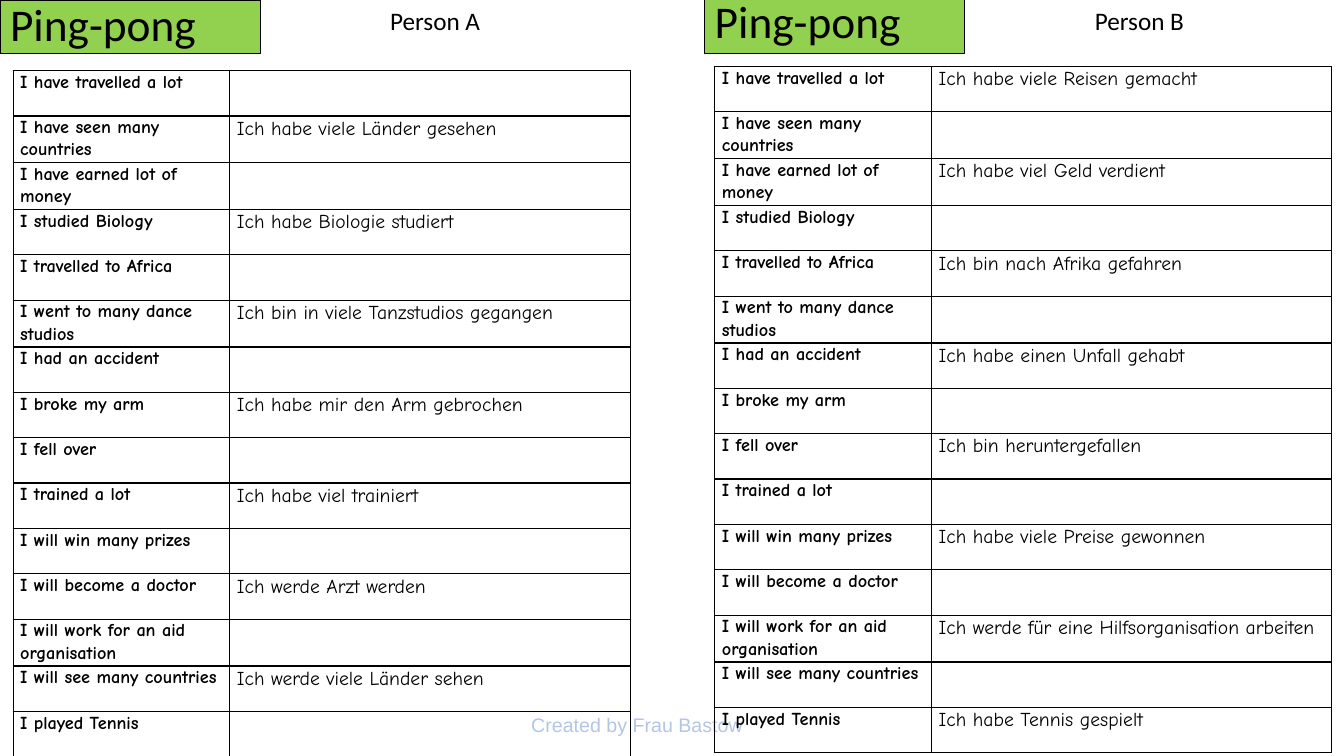
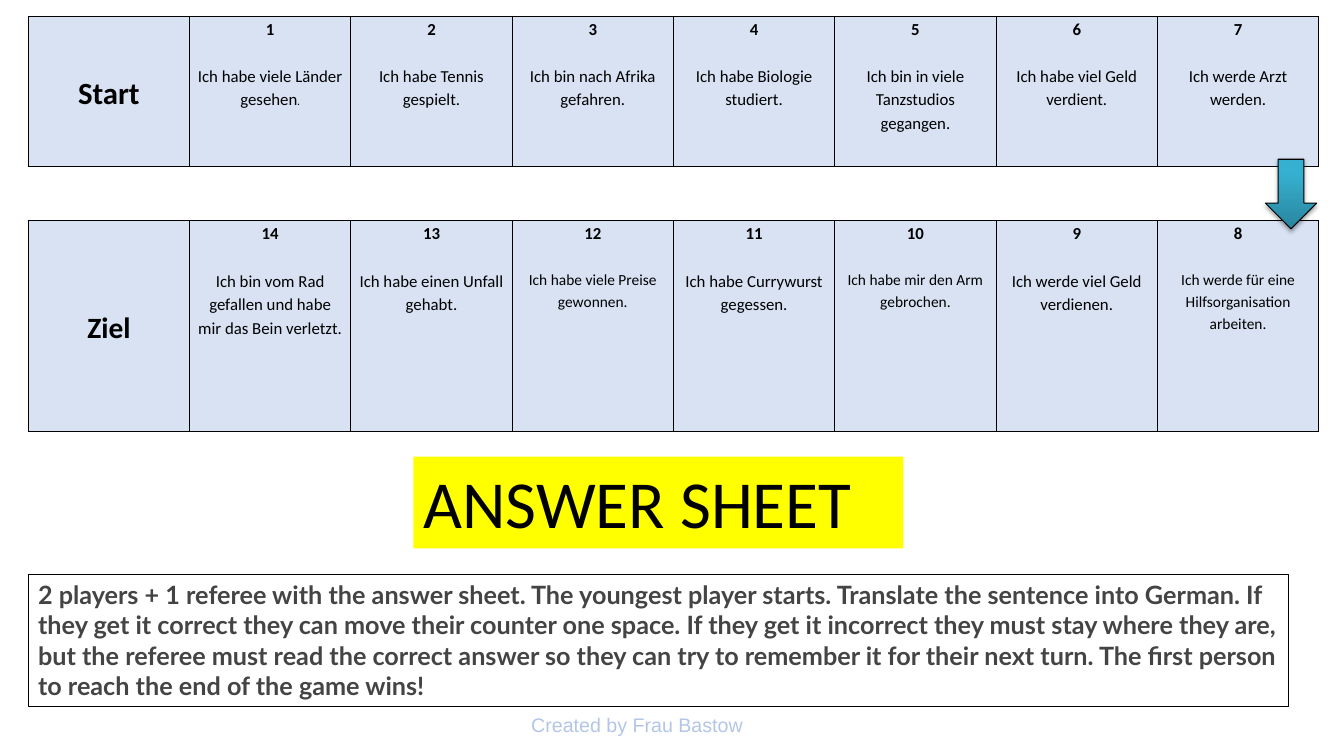
from lxml import etree
from pptx import Presentation
from pptx.dml.color import RGBColor as RGB
from pptx.enum.shapes import MSO_SHAPE as SHAPE
from pptx.enum.text import MSO_ANCHOR as ANCHOR, MSO_AUTO_SIZE as AUTO, PP_ALIGN as ALIGN
from pptx.oxml import parse_xml
from pptx.oxml.ns import nsdecls, qn
from pptx.util import Inches, Pt

COLORS = {
    "black": "000000", "grey": "444444", "footer": "B3C6E7", "green": "92D050",
    "yellow": "FFFF00", "blue": "D8E2F3", "white": "FFFFFF",
    "teal_dark": "29859E", "teal": "36B0D0",
}
HAND = "Comic Neue"


def write(sp, text, size=12, font="Calibri", color="black", bold=False, align=ALIGN.LEFT,
          spacing=None, before=None, fill=None, line=None, anchor=None, join=False):
    tf = sp.text_frame
    tf.word_wrap = True
    p = tf.paragraphs[-1]
    if p.runs and not join:
        p = tf.add_paragraph()
    if not join:
        p.alignment = align
        if spacing:
            p.line_spacing = spacing
        if before:
            p.space_before = Pt(before)
    r = p.add_run()
    r.text = text
    r.font.size, r.font.name, r.font.bold = Pt(size), font, bold
    r.font.color.rgb = RGB.from_string(COLORS[color])
    if anchor is not None:
        sp.vertical_anchor = tf.vertical_anchor = anchor
    if fill:
        sp.fill.solid()
        sp.fill.fore_color.rgb = RGB.from_string(COLORS[fill])
    if line:
        sp.line.color.rgb = RGB.from_string(COLORS[line])
        sp.line.width = Pt(0.75)


def add_grid(s, left, top, widths, heights, fills, open_rows=()):
    shape = s.shapes.add_table(len(heights), len(widths), Inches(left), Inches(top),
                               Inches(sum(widths)), Inches(sum(heights)))
    table = shape.table
    table.first_row = table.horz_banding = False
    for col, width in zip(table.columns, widths):
        col.width = Inches(width)
    for i, height in enumerate(heights):
        table.rows[i].height = Inches(height)
        for cell in table.rows[i].cells:
            cell.margin_left = cell.margin_right = Inches(0.07)
            cell.margin_top = cell.margin_bottom = 0
            tcPr = cell._tc.get_or_add_tcPr()
            for side in "LRTB":
                ln = etree.SubElement(tcPr, qn(f"a:ln{side}"), w=str(Pt(1)))
                if i in open_rows and side in "LR":
                    etree.SubElement(ln, qn("a:noFill"))
                else:
                    paint = etree.SubElement(ln, qn("a:solidFill"))
                    etree.SubElement(paint, qn("a:srgbClr"), val=COLORS["black"])
            if fills[i]:
                cell.fill.solid()
                cell.fill.fore_color.rgb = RGB.from_string(COLORS[fills[i]])
            else:
                cell.fill.background()
    return table


prs = Presentation()
prs.slide_width, prs.slide_height = Inches(13.33), Inches(7.5)

title_boxes = [(0, 0, 2.58, 0.53), (4.1, 4.53, 4.86, 0.91)]
slides = []
for box in title_boxes:
    s = prs.slides.add_slide(prs.slide_layouts[5])
    title = s.shapes.title
    title.left, title.top, title.width, title.height = map(Inches, box)
    title.text_frame.auto_size = AUTO.NONE
    footer = s.shapes.add_textbox(Inches(5.17), Inches(7.02), Inches(4.6), Inches(0.34))
    write(footer, "Created by Frau Bastow", size=14, font="Arial", color="footer")
    slides.append(s)
pingpong, game = slides

phrases = [
    ("I have travelled a lot", "Ich habe viele Reisen gemacht"),
    ("I have seen many countries", "Ich habe viele Länder gesehen"),
    ("I have earned lot of money", "Ich habe viel Geld verdient"),
    ("I studied Biology", "Ich habe Biologie studiert"),
    ("I travelled to Africa", "Ich bin nach Afrika gefahren"),
    ("I went to many dance studios", "Ich bin in viele Tanzstudios gegangen"),
    ("I had an accident", "Ich habe einen Unfall gehabt"),
    ("I broke my arm", "Ich habe mir den Arm gebrochen"),
    ("I fell over", "Ich bin heruntergefallen"),
    ("I trained a lot", "Ich habe viel trainiert"),
    ("I will win many prizes", "Ich habe viele Preise gewonnen"),
    ("I will become a doctor", "Ich werde Arzt werden"),
    ("I will work for an aid organisation", "Ich werde für eine Hilfsorganisation arbeiten"),
    ("I will see many countries", "Ich werde viele Länder sehen"),
    ("I played Tennis", "Ich habe Tennis gespielt"),
]
second_heading = pingpong.shapes.add_textbox(Inches(6.99), 0, Inches(2.58), Inches(0.53))
sheets = [
    ("Person A", pingpong.shapes.title, 0.9, 3.77, 0.13, 0.7, 1),
    ("Person B", second_heading, 0.7, 10.76, 7.09, 0.66, 0),
]
for person, heading, spacing, name_left, left, top, parity in sheets:
    write(heading, "Ping-pong", size=32.4, spacing=spacing, fill="green", line="black",
          anchor=ANCHOR.MIDDLE)
    name = pingpong.shapes.add_textbox(Inches(name_left), 0, Inches(1.62), Inches(0.4))
    write(name, person, size=18)
    count = len(phrases)
    table = add_grid(pingpong, left, top, [2.15, 3.97], [0.45] * count, [None] * count)
    for i, (english, german) in enumerate(phrases):
        write(table.cell(i, 0), english, size=13, font=HAND, bold=True, spacing=1.07)
        if i % 2 == parity:
            write(table.cell(i, 1), german, size=14, font=HAND, spacing=1.07)

tracks = [
    (0, "Start", 22, [
        (1, "Ich habe viele Länder gesehen", 12),
        (2, "Ich habe Tennis gespielt.", 12),
        (3, "Ich bin nach Afrika gefahren.", 12),
        (4, "Ich habe Biologie studiert.", 12),
        (5, "Ich bin in viele Tanzstudios gegangen.", 12),
        (6, "Ich habe viel Geld verdient.", 12),
        (7, "Ich werde Arzt werden.", 12),
    ]),
    (2, "Ziel", 21, [
        (14, "Ich bin vom Rad gefallen und habe mir das Bein verletzt.", 12),
        (13, "Ich habe einen Unfall gehabt.", 12),
        (12, "Ich habe viele Preise gewonnen.", 11),
        (11, "Ich habe Currywurst gegessen.", 12),
        (10, "Ich habe mir den Arm gebrochen.", 11),
        (9, "Ich werde viel Geld verdienen.", 12),
        (8, "Ich werde für eine Hilfsorganisation arbeiten.", 11),
    ]),
]
board = add_grid(game, 0.28, 0.16, [1.6] * 8, [1.49, 0.54, 2.09],
                 ["blue", "white", "blue"], open_rows=(1,))
for row, label, size, squares in tracks:
    write(board.cell(row, 0), label, size=size, bold=True, align=ALIGN.CENTER, spacing=1.15,
          anchor=ANCHOR.MIDDLE)
    for col, (number, sentence, size) in enumerate(squares, 1):
        cell = board.cell(row, col)
        write(cell, str(number), bold=True, align=ALIGN.CENTER, spacing=1.15)
        write(cell, sentence, size=size, align=ALIGN.CENTER, spacing=1.15, before=17)
write(board.cell(0, 1), ".", font=HAND, join=True)

arrow = game.shapes.add_shape(SHAPE.DOWN_ARROW, Inches(12.55), Inches(1.58),
                              Inches(0.51), Inches(0.69))
arrow.fill.gradient()
arrow.fill.gradient_angle = 90
for stop, position, color in zip(arrow.fill.gradient_stops, (0, 0.8), ("teal_dark", "teal")):
    stop.position = position
    stop.color.rgb = RGB.from_string(COLORS[color])
arrow.line.color.rgb = RGB.from_string(COLORS["black"])
arrow.line.width = Pt(0.75)
arrow.shadow.inherit = False
arrow._element.spPr.find(qn("a:effectLst")).append(parse_xml(
    f'<a:outerShdw {nsdecls("a")} blurRad="{Pt(3.1)}" dist="{Pt(1.8)}" dir="5400000">'
    f'<a:srgbClr val="{COLORS["black"]}"><a:alpha val="35000"/></a:srgbClr></a:outerShdw>'))

rules = game.shapes.add_textbox(Inches(0.28), Inches(5.7), Inches(12.5), Inches(1.31))
write(rules, "2 players + 1 referee with the answer sheet. The youngest player starts. "
      "Translate the sentence into German. If they get it correct they can move their counter "
      "one space. If they get it incorrect they must stay where they are, but the referee must "
      "read the correct answer so they can try to remember it for their next turn. The first "
      "person to reach the end of the game wins!",
      size=18, font="Lato", color="grey", bold=True, line="black")
write(game.shapes.title, "ANSWER SHEET", size=48, fill="yellow", anchor=ANCHOR.TOP)

prs.save("out.pptx")
